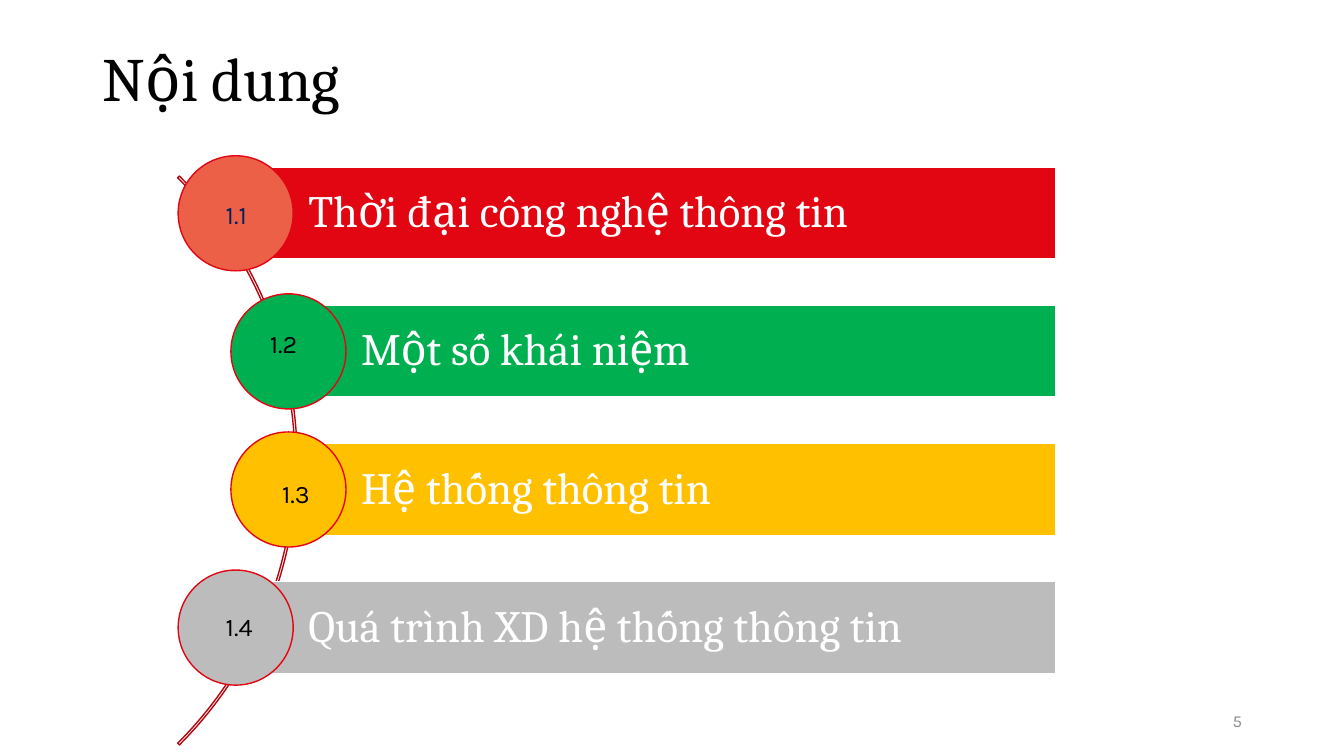
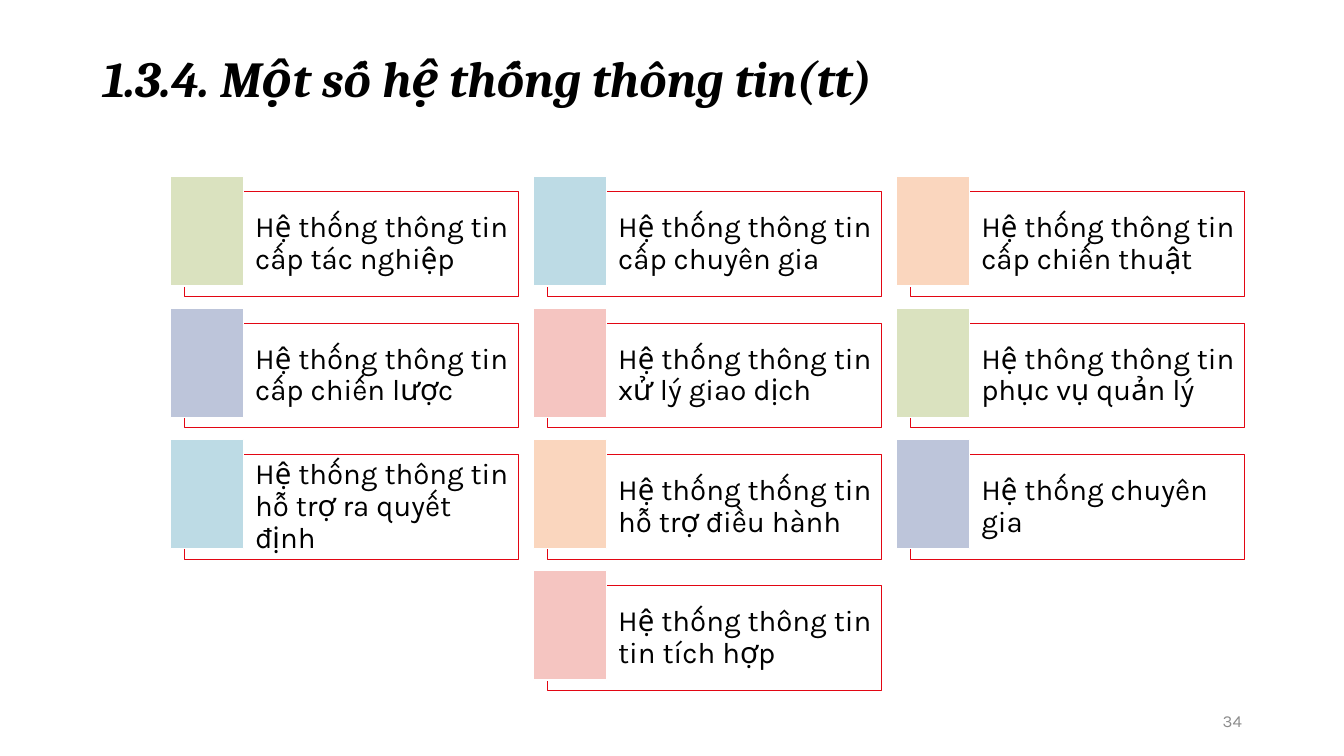
from itertools import cycle

from lxml import etree
from pptx import Presentation
from pptx.dml.color import RGBColor
from pptx.enum import shapes, text
from pptx.oxml.ns import qn
from pptx.util import Cm, Pt

SERIF, SANS = "Cambria", "Karla"
BLACK, WHITE, RED, DARK_RED = "000000", "FFFFFF", "E20613", "B5050F"
NAVY, GREY = "002060", "8C8C8C"

# text, bar colour, circle colour, bar left; label text, colour, left, top
TOPICS = [
    ("Thời đại công nghệ thông tin", RED, "EB6047", 5.94, ("1.1", NAVY, 5.44, 4.9)),
    ("Một số khái niệm", "00B050", "00B050", 7.27, ("1.2", BLACK, 6.55, 8.15)),
    ("Hệ thống thông tin", "FFC000", "FFC000", 7.27, ("1.3", BLACK, 6.86, 11.94)),
    ("Quá trình XD hệ thống thông tin", "BCBCBC", "BCBCBC", 5.94, ("1.4", BLACK, 5.44, 15.27)),
]
SYSTEMS = [
    ["Hệ thống thông tin cấp tác nghiệp", "Hệ thống thông tin cấp chuyên gia",
     "Hệ thống thông tin cấp chiến thuật"],
    ["Hệ thống thông tin cấp chiến lược", "Hệ thống thông tin xử lý giao dịch",
     "Hệ thông thông tin phục vụ quản lý"],
    ["Hệ thống thông tin hỗ trợ ra quyết định", "Hệ thống thống tin hỗ trợ điều hành",
     "Hệ thống chuyên gia"],
    ["Hệ thống thông tin tin tích hợp"],
]
SWATCHES = ["DAE2BF", "BDDBE5", "FAD6BE", "BDC5DA", "F5C5C1"]


def rgb(value):
    return RGBColor.from_string(value)


def write(frame, words, size, font, color, bold=None, italic=None,
          spacing=None, align=text.PP_ALIGN.LEFT):
    paragraph = frame.paragraphs[0]
    paragraph.alignment = align
    paragraph.line_spacing = spacing
    run = paragraph.add_run()
    run.text = words
    run.font.size, run.font.name = Pt(size), font
    run.font.bold, run.font.italic = bold, italic
    run.font.color.rgb = rgb(color)


def add_shape(slide, kind, left, top, width, height, fill, line, weight):
    shape = slide.shapes.add_shape(kind, Cm(left), Cm(top), Cm(width), Cm(height))
    shape.shadow.inherit = False
    if fill:
        shape.fill.solid()
        shape.fill.fore_color.rgb = rgb(fill)
    else:
        shape.fill.background()
    shape.line.color.rgb = rgb(line)
    shape.line.width = Pt(weight)
    return shape


def write_beside(shape, words, inset, size, font, color):
    """Write left-aligned text that clears the marker on the shape's left."""
    frame = shape.text_frame
    frame.word_wrap = True
    frame.vertical_anchor = text.MSO_ANCHOR.MIDDLE
    frame.margin_left = Cm(inset)
    frame.margin_right = frame.margin_top = frame.margin_bottom = Cm(0.23)
    write(frame, words, size, font, color, spacing=0.9)


def set_opacity(shape, percent):
    color = shape.fill._xPr.find(qn("a:solidFill"))[0]
    etree.SubElement(color, qn("a:alpha"), val=str(percent * 1000))


def style_title(layout):
    title = next(p for p in layout.placeholders
                 if p.placeholder_format.type == shapes.PP_PLACEHOLDER.TITLE)
    title.left, title.top, title.width, title.height = Cm(2.34), Cm(1.02), Cm(29.92), Cm(2.06)
    title.text_frame.vertical_anchor = text.MSO_ANCHOR.MIDDLE


def add_slide(presentation, layout, title, size, number, emphasis=None):
    slide = presentation.slides.add_slide(layout)
    write(slide.shapes.title.text_frame, title, size, SERIF, BLACK,
          bold=emphasis, italic=emphasis, spacing=0.9)
    box = slide.shapes.add_textbox(Cm(23.93), Cm(17.65), Cm(7.62), Cm(1.02))
    box.text_frame.word_wrap = True
    box.text_frame.vertical_anchor = text.MSO_ANCHOR.MIDDLE
    write(box.text_frame, number, 12, SANS, GREY, align=text.PP_ALIGN.RIGHT)
    return slide


def draw_topics(slide):
    bar_right, bar_height, diameter, first_top, pitch = 26.61, 2.31, 2.9, 4.22, 3.48
    arc = add_shape(slide, shapes.MSO_SHAPE.BLOCK_ARC, -12.78, 1.47, 20.27, 20.27,
                    None, DARK_RED, 1)
    for index, value in enumerate((189, 27, 0.003)):
        arc.adjustments[index] = value
    for row, (words, bar_color, circle_color, left, label) in enumerate(TOPICS):
        top = first_top + row * pitch
        bar = add_shape(slide, shapes.MSO_SHAPE.RECTANGLE, left, top,
                        bar_right - left, bar_height, bar_color, WHITE, 1)
        write_beside(bar, words, 1.83, 32, SERIF, WHITE)
        add_shape(slide, shapes.MSO_SHAPE.OVAL, left - diameter / 2,
                  top + (bar_height - diameter) / 2, diameter, diameter,
                  circle_color, RED, 1)
        number, color, label_left, label_top = label
        box = slide.shapes.add_textbox(Cm(label_left), Cm(label_top), Cm(1.2), Cm(1.02))
        box.text_frame.word_wrap = False
        box.text_frame.auto_size = text.MSO_AUTO_SIZE.SHAPE_TO_FIT_TEXT
        write(box.text_frame, number, 18, SANS, color)


def draw_systems(slide):
    columns = len(SYSTEMS[0])
    colors = cycle(SWATCHES)
    for row, names in enumerate(SYSTEMS):
        first_column = (columns - len(names)) / 2
        for column, name in enumerate(names, 0):
            left = 4.65 + (first_column + column) * 9.15
            top = 4.83 + row * 3.31
            card = add_shape(slide, shapes.MSO_SHAPE.RECTANGLE, left, top,
                             8.42, 2.64, WHITE, RED, 0.5)
            set_opacity(card, 40)
            write_beside(card, name, 1.78, 21, SANS, BLACK)
            add_shape(slide, shapes.MSO_SHAPE.RECTANGLE, left - 0.35, top - 0.38,
                      1.84, 2.76, next(colors), WHITE, 1)


def main():
    presentation = Presentation()
    presentation.slide_width, presentation.slide_height = Cm(33.87), Cm(19.05)
    layout = presentation.slide_layouts.get_by_name("Title Only")
    style_title(layout)
    draw_topics(add_slide(presentation, layout, "Nội dung", 44, "5"))
    draw_systems(add_slide(presentation, layout, "1.3.4. Một số hệ thống thông tin(tt)",
                           36, "34", emphasis=True))
    presentation.save("out.pptx")


if __name__ == "__main__":
    main()
